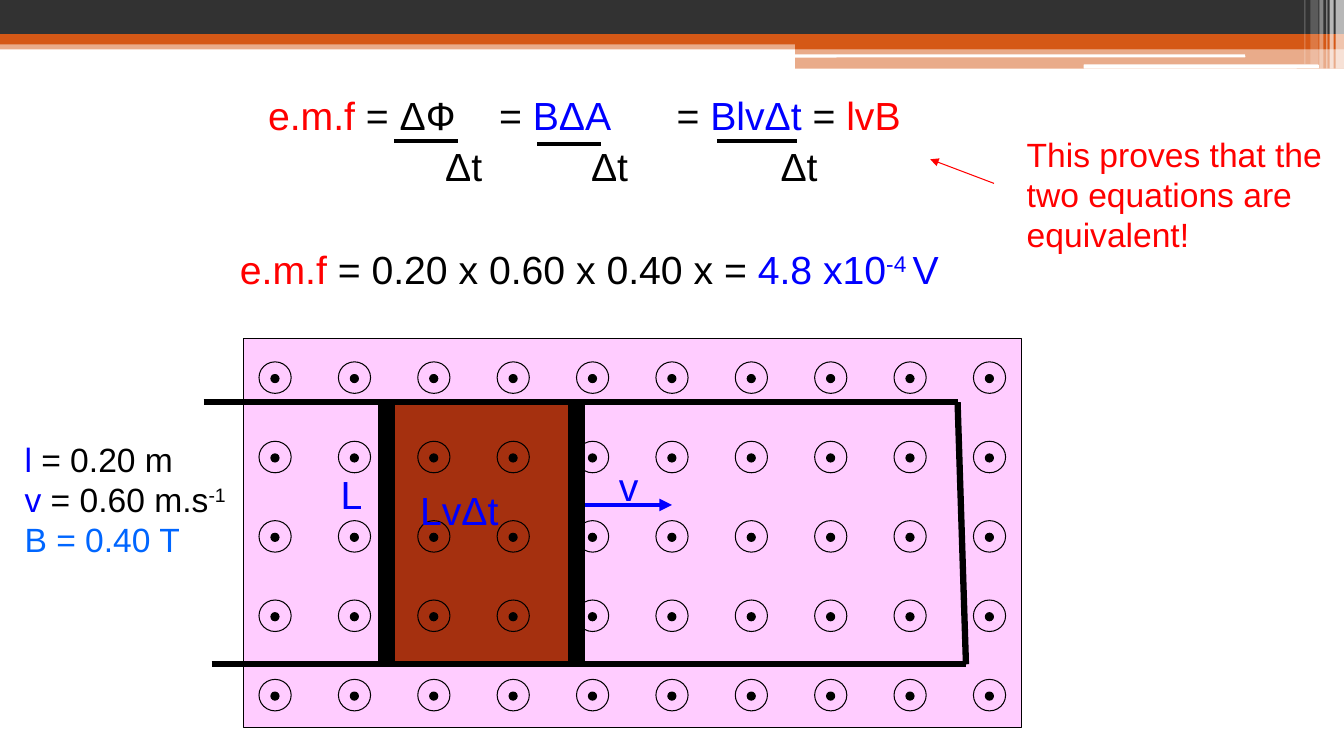
from dataclasses import dataclass
from typing import Any

from lxml import etree
from pptx import Presentation
from pptx import util as u
from pptx.dml.color import RGBColor
from pptx.enum import shapes, text
from pptx.oxml import ns

BLACK = RGBColor(0x00, 0x00, 0x00)
WHITE = RGBColor(0xFF, 0xFF, 0xFF)
RED = RGBColor(0xFF, 0x00, 0x00)
BLUE = RGBColor(0x00, 0x00, 0xFF)
SKY = RGBColor(0x00, 0x66, 0xFF)
PINK = RGBColor(0xFF, 0xCC, 0xFF)
BRICK = RGBColor(0xA5, 0x30, 0x0F)
ORANGE = RGBColor(0xD5, 0x58, 0x16)
SLATE = RGBColor(0x32, 0x32, 0x32)
KIND = shapes.MSO_SHAPE
LEFT_TOP = ("left", "top", "width", "height")


@dataclass
class Band:
    box: tuple[float, float, float, float]
    fill: RGBColor
    alpha: int = 100
    kind: Any = KIND.RECTANGLE


@dataclass
class Wire:
    start: tuple[float, float]
    end: tuple[float, float]
    width: float
    ink: RGBColor = BLACK
    arrow: bool = False


@dataclass
class Bit:
    words: str
    ink: RGBColor = BLACK
    lift: int = 0
    gap: float = 0


@dataclass
class Line:
    bits: list[Bit]
    margin: float = 0
    before: float = 0


@dataclass
class Label:
    box: tuple[float, float, float, float]
    size: float
    lines: list[Line]
    wrap: bool = True


BANDS = [
    Band((0, 28.8, 960, 6.5), ORANGE, 50),
    Band((0, 0, 960, 24.5), SLATE),
    Band((0, 24.5, 960, 7.2), ORANGE),
    Band((568, 28, 392, 7.2), ORANGE),
    Band((568, 34.6, 392, 14.4), ORANGE, 50),
    Band((567.5, 38.9, 322, 2.2), WHITE, 100, KIND.ROUNDED_RECTANGLE),
    Band((774, 46.1, 168, 2.9), WHITE, 100, KIND.ROUNDED_RECTANGLE),
    Band((954, 0, 6, 49), WHITE, 65),
    Band((949.7, 0, 2.9, 49), WHITE, 65),
    Band((947.5, 0, 0.75, 49), WHITE, 60),
    Band((942.5, 0, 2.9, 49), WHITE, 40),
    Band((936, 0, 5.8, 46), WHITE, 20),
    Band((931.7, 0, 0.75, 46), WHITE, 30),
]
FIELD = Band((173.8, 242, 556, 278), PINK)
SWEPT = Band((281.5, 287.3, 124.5, 187.2), BRICK)
RAILS = [
    Wire((145.5, 287.3), (684, 287.3), 4.5),
    Wire((151.2, 474.5), (690, 474.5), 4.5),
    Wire((684, 287.3), (690, 474.5), 4.5),
    Wire((275.8, 287.3), (275.8, 474.5), 12),
    Wire((406, 360.7), (480, 360.7), 3, BLUE, True),
    Wire((411.8, 287.3), (411.8, 474.5), 12),
    Wire((281.5, 100.8), (327, 100.8), 3),
    Wire((383.8, 103), (429, 103), 3),
    Wire((512, 100.8), (569, 100.8), 3),
    Wire((710, 131), (664.5, 113.8), 0.75, RED, True),
]
PROOF = Label((155.5, 61.9, 648, 450.7), 28, [
    Line([Bit("e.m.f", RED), Bit(" = ΔФ"), Bit(" ", gap=23.3), Bit("= "),
          Bit("BΔA", BLUE), Bit(" ", gap=38.9), Bit("= "),
          Bit("BlvΔt", BLUE), Bit(" = "), Bit("lvB", RED)], 28.8, 3),
    Line([Bit("Δt"), Bit(" ", gap=70), Bit("Δt"), Bit(" ", gap=101.1), Bit("Δt")],
         155.3, 2.8),
    Line([Bit("e.m.f", RED), Bit(" = 0.20 x 0.60 x 0.40 x = "),
          Bit("4.8 x10", BLUE), Bit("-4 ", BLUE, 30), Bit("V", BLUE)], 8.7, 39.4),
])
LABELS = [
    Label((236.2, 332.6, 39.6, 41), 28, [Line([Bit("L", BLUE)])]),
    Label((434.9, 326.9, 39.6, 41), 28, [Line([Bit("v", BLUE)])]),
    Label((293, 343.8, 73.4, 91.4), 28, [Line([Bit("LvΔt", BLUE)])]),
    Label((726.3, 91.8, 234, 94.3), 24,
          [Line([Bit("This proves that the two equations are equivalent!", RED)])]),
    Label((10.5, 309.6, 161.3, 94.3), 24, [
        Line([Bit("l", BLUE), Bit(" = 0.20 m")]),
        Line([Bit("v", BLUE), Bit(" = 0.60 m.s"), Bit("-1", BLACK, 30)]),
        Line([Bit("B = 0.40 T", SKY)]),
    ], False),
]


def apply(thing: Any, form: dict[str, Any]) -> None:
    for name, value in form.items():
        setattr(thing, name, value)


def points(box: tuple[float, ...]) -> list[int]:
    return [u.Pt(value) for value in box]


def add(host: Any, tag: str, **attrs: str) -> Any:
    return etree.SubElement(host, ns.qn(tag), attrs)


def draw_band(pool: Any, band: Band, edge: bool = False, solid: bool = True) -> None:
    shape = pool.add_shape(band.kind, *points(band.box))
    shape.shadow.inherit = False
    if solid:
        shape.fill.solid()
        shape.fill.fore_color.rgb = band.fill
        if band.alpha < 100:
            tint = shape._element.spPr.find(".//" + ns.qn("a:srgbClr"))
            add(tint, "a:alpha", val=str(band.alpha * 1000))
    else:
        shape.fill.background()
    if edge:
        shape.line.color.rgb = BLACK
        shape.line.width = u.Pt(0.75)
    else:
        shape.line.fill.background()


def draw_field(pool: Any) -> None:
    step = 56.7
    for row in range(5):
        group = pool.add_group_shape().shapes
        for col in range(10):
            x, y = 185 + col * step, 258.5 + row * step
            draw_band(group, Band((x, y, 23, 22.5), WHITE, 100, KIND.OVAL), True, False)
            draw_band(group, Band((x + 8.5, y + 9, 5.8, 5.8), BLACK, 100, KIND.OVAL), True)


def draw_wire(pool: Any, wire: Wire) -> None:
    line = pool.add_connector(shapes.MSO_CONNECTOR.STRAIGHT,
                              *points(wire.start + wire.end))
    line.line.color.rgb = wire.ink
    line.line.width = u.Pt(wire.width)
    if wire.arrow:
        add(line.line._get_or_add_ln(), "a:tailEnd", type="triangle")
    add(line._element.spPr, "a:effectLst")


def write(shape: Any, label: Label) -> None:
    apply(shape, dict(zip(LEFT_TOP, points(label.box))))
    frame = shape.text_frame
    apply(frame, {"word_wrap": label.wrap, "auto_size": text.MSO_AUTO_SIZE.NONE,
                  "vertical_anchor": text.MSO_ANCHOR.TOP})
    for rank, line in enumerate(label.lines):
        para = frame.add_paragraph() if rank else frame.paragraphs[0]
        apply(para, {"space_before": u.Pt(line.before), "alignment": text.PP_ALIGN.LEFT})
        props = para._p.get_or_add_pPr()
        props.set("marL", str(int(u.Pt(line.margin))))
        props.set("indent", "0")
        add(props, "a:buNone")
        for bit in line.bits:
            run = para.add_run()
            run.text = bit.words
            apply(run.font, {"name": "Arial", "size": u.Pt(label.size)})
            run.font.color.rgb = bit.ink
            marks = run._r.get_or_add_rPr()
            if bit.lift:
                marks.set("baseline", str(bit.lift * 1000))
            if bit.gap:
                marks.set("spc", str(round(bit.gap * 100)))


def main() -> None:
    deck = Presentation()
    apply(deck, {"slide_width": u.Pt(960), "slide_height": u.Pt(540)})
    slide = deck.slides.add_slide(deck.slide_layouts[1])
    pool = slide.shapes
    title = pool.title._element
    title.getparent().remove(title)
    write(slide.placeholders[1], PROOF)
    for band in BANDS:
        draw_band(pool, band)
    for band in (FIELD, SWEPT):
        draw_band(pool, band, True)
    draw_field(pool)
    for wire in RAILS:
        draw_wire(pool, wire)
    for label in LABELS:
        write(pool.add_textbox(*points(label.box)), label)
    deck.save("out.pptx")


if __name__ == "__main__":
    main()
